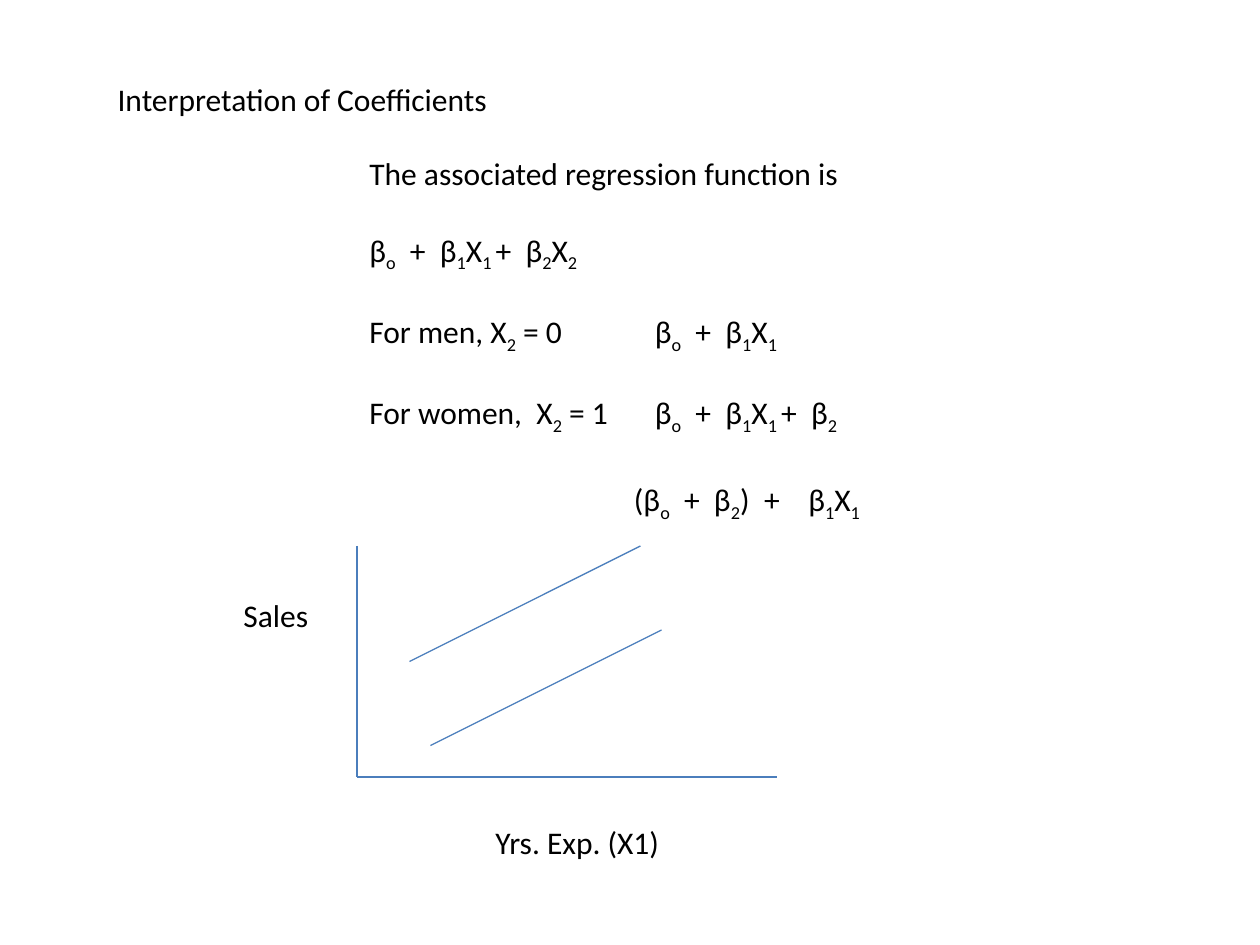
from lxml.etree import SubElement
from pptx import Presentation
from pptx.dml.color import RGBColor
from pptx.enum.shapes import MSO_CONNECTOR
from pptx.enum.text import MSO_ANCHOR, MSO_AUTO_SIZE, PP_ALIGN
from pptx.oxml.ns import qn
from pptx.util import Inches, Pt

COLS, ROWS = 120, 90
TITLE_ONLY = 5


def rgb(color):
    return RGBColor.from_string(color)


class SlideBuilder:
    font, size, ink, line_color = "Calibri", 18, "000000", "4B7EBC"

    def __init__(self, prs):
        self.col = prs.slide_width / COLS
        self.row = prs.slide_height / ROWS
        self.s = prs.slides.add_slide(prs.slide_layouts[TITLE_ONLY])

    def x(self, cols):
        return round(cols * self.col)

    def y(self, rows):
        return round(rows * self.row)

    def runs(self, p, text):
        """Add runs to a paragraph; text in square brackets is subscript."""
        for i, part in enumerate(text.replace("]", "[").split("[")):
            if not part:
                continue
            r = p.add_run()
            r.text = part
            r.font.name, r.font.size = self.font, Pt(self.size)
            r.font.color.rgb = rgb(self.ink)
            if i % 2:
                r._r.get_or_add_rPr().set("baseline", "-25000")

    def paragraph(self, p, text, gap=0, stops=()):
        p.alignment = PP_ALIGN.LEFT
        p.space_before = Pt(gap)
        if stops:
            tabs = SubElement(p._p.get_or_add_pPr(), qn("a:tabLst"))
            for stop in stops:
                SubElement(tabs, qn("a:tab"), pos=str(self.x(stop)), algn="l")
        self.runs(p, text)

    def frame(self, sp):
        tf = sp.text_frame
        tf.word_wrap = True
        tf.auto_size = MSO_AUTO_SIZE.NONE
        tf.vertical_anchor = MSO_ANCHOR.TOP
        return tf

    def title(self, text, left, top, width, height):
        sp = self.s.shapes.title
        sp.left, sp.top = self.x(left), self.y(top)
        sp.width, sp.height = self.x(width), self.y(height)
        self.paragraph(self.frame(sp).paragraphs[0], text)

    def text(self, lines, left, top, width, height):
        sp = self.s.shapes.add_textbox(
            self.x(left), self.y(top), self.x(width), self.y(height))
        tf = self.frame(sp)
        for i, line in enumerate(lines):
            p = tf.add_paragraph() if i else tf.paragraphs[0]
            self.paragraph(p, *line)

    def line(self, x1, y1, x2, y2):
        c = self.s.shapes.add_connector(
            MSO_CONNECTOR.STRAIGHT, self.x(x1), self.y(y1), self.x(x2), self.y(y2))
        c.line.color.rgb = rgb(self.line_color)
        c.line.width = Pt(0.75)
        SubElement(c._element.spPr, qn("a:effectLst"))


def main():
    prs = Presentation()
    prs.slide_width, prs.slide_height = Inches(10), Inches(7.5)
    b = SlideBuilder(prs)

    # Title
    b.title("Interpretation of Coefficients", 10, 7, 95, 5)

    # Regression function and its two cases: text, gap before, tab stops
    gap, equation = 22, (27.2,)
    b.text([
        ("The associated regression function is",),
        ("β[o]  +  β[1]X[1 ]+  β[2]X[2]", gap),
        ("For men, X[2] = 0\tβ[o]  +  β[1]X[1]", gap, equation),
        ("For women,  X[2] = 1\tβ[o]  +  β[1]X[1 ]+  β[2]", gap, equation),
        ("\t(β[o]  +  β[2])\t+\tβ[1]X[1]", 25, (25.2, 37.6, 41.8)),
    ], 34, 14.1, 71, 37)

    # Axes
    left, top, right, bottom = 34, 52, 74, 74
    b.line(left, top, left, bottom)
    b.line(left, bottom, right, bottom)

    # Parallel lines for women and men
    run, rise = 22, 11
    for x, y in ((39, 63), (41, 71)):
        b.line(x, y, x + run, y - rise)

    # Axis labels
    b.text([("Sales",)], 22, 56.2, 11, 5)
    b.text([("Yrs. Exp. (X1)",)], 46, 77.8, 24, 5)

    prs.save("out.pptx")


if __name__ == "__main__":
    main()
